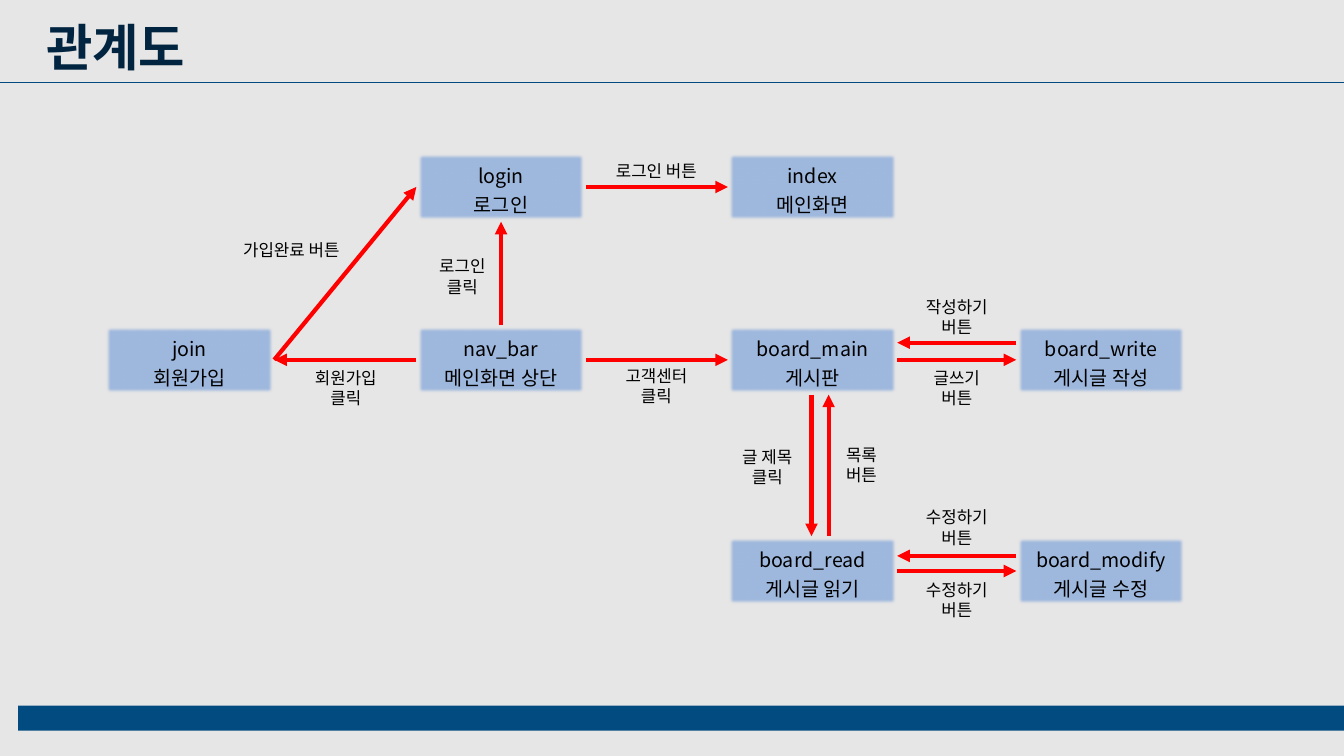
from dataclasses import dataclass

from pptx import Presentation
from pptx.dml.color import RGBColor as RGB
from pptx.enum.shapes import MSO_CONNECTOR as CONN, MSO_SHAPE as SHAPE
from pptx.enum.text import MSO_ANCHOR as ANCHOR, PP_ALIGN as ALIGN
from pptx.oxml.ns import qn
from pptx.util import Inches, Pt
from lxml.etree import SubElement


@dataclass(frozen=True)
class Theme:
    font: str = "Noto Sans CJK KR"
    back: str = "E7E6E6"
    bar: str = "024B80"
    title: str = "012540"
    box: str = "9FB9DE"
    arrow: str = "FF0000"
    ink: str = "000000"
    title_pt: float = 36
    box_pt: float = 14
    label_pt: float = 12
    arrow_pt: float = 3
    rule_pt: float = 0.5
    soft_edge_pt: float = 2.5


# Grid of pages, in percent of the slide's width and height
COLS = [7.8, 30.98, 54.16, 75.62]
ROWS = [20.13, 43, 70.93]
BOX_W, BOX_H = 12.6, 9.2
SIDES = {"left": (0, 0.5), "right": (1, 0.5), "top": (0.5, 0), "bottom": (0.5, 1)}

# Page: column, row, caption
PAGES = {
    "login": (1, 0, "로그인"),
    "index": (2, 0, "메인화면"),
    "join": (0, 1, "회원가입"),
    "nav_bar": (1, 1, "메인화면 상단"),
    "board_main": (2, 1, "게시판"),
    "board_write": (3, 1, "게시글 작성"),
    "board_read": (2, 2, "게시글 읽기"),
    "board_modify": (3, 2, "게시글 수정"),
}

# From page and side, to page and side, shift across and down
LINKS = [
    ("nav_bar", "left", "join", "right", 0, 0),
    ("nav_bar", "top", "login", "bottom", 0, 0),
    ("join", "right", "login", "left", 0, 0),
    ("nav_bar", "right", "board_main", "left", 0, 0),
    ("login", "right", "index", "left", 0, 0),
    ("board_main", "right", "board_write", "left", 0, 0),
    ("board_write", "left", "board_main", "right", 0, -2.27),
    ("board_main", "bottom", "board_read", "top", -0.08, 0),
    ("board_read", "top", "board_main", "bottom", 1.2, 0),
    ("board_read", "right", "board_modify", "left", 0, 0),
    ("board_modify", "left", "board_read", "right", 0, -2),
]

# Text, centre, top, width
LABELS = [
    ("로그인\n클릭", 34.4, 33.2, 5.48),
    ("가입완료 버튼", 21.68, 31.07, 9.45),
    ("회원가입\n클릭", 25.73, 48, 6.75),
    ("로그인 버튼", 48.84, 20.53, 8.7),
    ("고객센터\n클릭", 48.84, 47.73, 6.75),
    ("글쓰기\n버튼", 71.19, 48, 6.75),
    ("작성하기\n버튼", 71.19, 38.53, 6.75),
    ("글 제목\n클릭", 57.09, 58.4, 6.75),
    ("목록\n버튼", 64.1, 58.13, 4.88),
    ("수정하기\n버튼", 71.19, 76, 6.75),
    ("수정하기\n버튼", 71.19, 66.4, 6.75),
]


class Board:
    def __init__(self, prs, theme):
        self.prs, self.theme = prs, theme
        self.s = prs.slides.add_slide(prs.slide_layouts[6])
        fill = self.s.background.fill
        fill.solid()
        fill.fore_color.rgb = RGB.from_string(theme.back)

    def scale(self, x, y):
        return int(self.prs.slide_width * x / 100), int(self.prs.slide_height * y / 100)

    def fill_text(self, sp, text, size, color, bold=False, **para):
        tf = sp.text_frame
        tf.word_wrap = True
        for i, line in enumerate(text.split("\n")):
            p = tf.paragraphs[0] if i == 0 else tf.add_paragraph()
            for key, value in para.items():
                setattr(p, key, value)
            r = p.add_run()
            r.text = line
            r.font.color.rgb = RGB.from_string(color)
            for key, value in dict(size=Pt(size), bold=bold, name=self.theme.font).items():
                setattr(r.font, key, value)
            SubElement(r.font._element, qn("a:ea"), typeface=self.theme.font)

    def rect(self, x, y, w, h, color):
        sp = self.s.shapes.add_shape(SHAPE.RECTANGLE, *self.scale(x, y), *self.scale(w, h))
        sp.shadow.inherit = False
        sp.fill.solid()
        sp.fill.fore_color.rgb = RGB.from_string(color)
        sp.line.fill.background()
        return sp

    def text(self, text, x, y, w, h, size, color, anchor=ANCHOR.TOP, **style):
        sp = self.s.shapes.add_textbox(*self.scale(x, y), *self.scale(w, h))
        sp.text_frame.vertical_anchor = anchor
        self.fill_text(sp, text, size, color, **style)

    def line(self, start, end, color, width, arrow=False):
        ln = self.s.shapes.add_connector(CONN.STRAIGHT, *self.scale(*start), *self.scale(*end))
        ln.line.color.rgb = RGB.from_string(color)
        ln.line.width = Pt(width)
        if arrow:
            outline = ln._element.spPr.find(qn("a:ln"))
            SubElement(outline, qn("a:tailEnd"), type="triangle")
        SubElement(ln._element.spPr, qn("a:effectLst"))

    def page(self, name, col, row, caption):
        t = self.theme
        sp = self.rect(COLS[col], ROWS[row], BOX_W, BOX_H, t.box)
        effects = sp._element.spPr.find(qn("a:effectLst"))
        SubElement(effects, qn("a:softEdge"), rad=str(int(Pt(t.soft_edge_pt))))
        sp.text_frame.vertical_anchor = ANCHOR.BOTTOM
        self.fill_text(sp, f"{name}\n{caption}", t.box_pt, t.ink,
                       alignment=ALIGN.CENTER, line_spacing=1.23)

    def link(self, source, out_side, target, in_side, dx, dy):
        ends = []
        for name, side in ((source, out_side), (target, in_side)):
            col, row, _ = PAGES[name]
            fx, fy = SIDES[side]
            ends.append((COLS[col] + fx * BOX_W + dx, ROWS[row] + fy * BOX_H + dy))
        self.line(*ends, self.theme.arrow, self.theme.arrow_pt, arrow=True)

    def label(self, text, center, top, width):
        height = 6.67 if "\n" in text else 4
        self.text(text, center - width / 2, top, width, height, self.theme.label_pt,
                  self.theme.ink, ANCHOR.BOTTOM, alignment=ALIGN.CENTER)


def main():
    prs = Presentation()
    prs.slide_width, prs.slide_height = Inches(13.33), Inches(7.5)
    theme = Theme()
    board = Board(prs, theme)

    # Footer bar, title and rule
    board.rect(1.35, 93.33, 98.65, 3.33, theme.bar)
    board.text("관계도", 2.7, 1.47, 81.62, 9.47, theme.title_pt, theme.title, bold=True)
    board.line((0, 10.93), (100, 10.93), theme.bar, theme.rule_pt)

    # Pages, arrows and their labels
    for name, place in PAGES.items():
        board.page(name, *place)
    for link in LINKS:
        board.link(*link)
    for label in LABELS:
        board.label(*label)

    prs.save("out.pptx")


if __name__ == "__main__":
    main()
